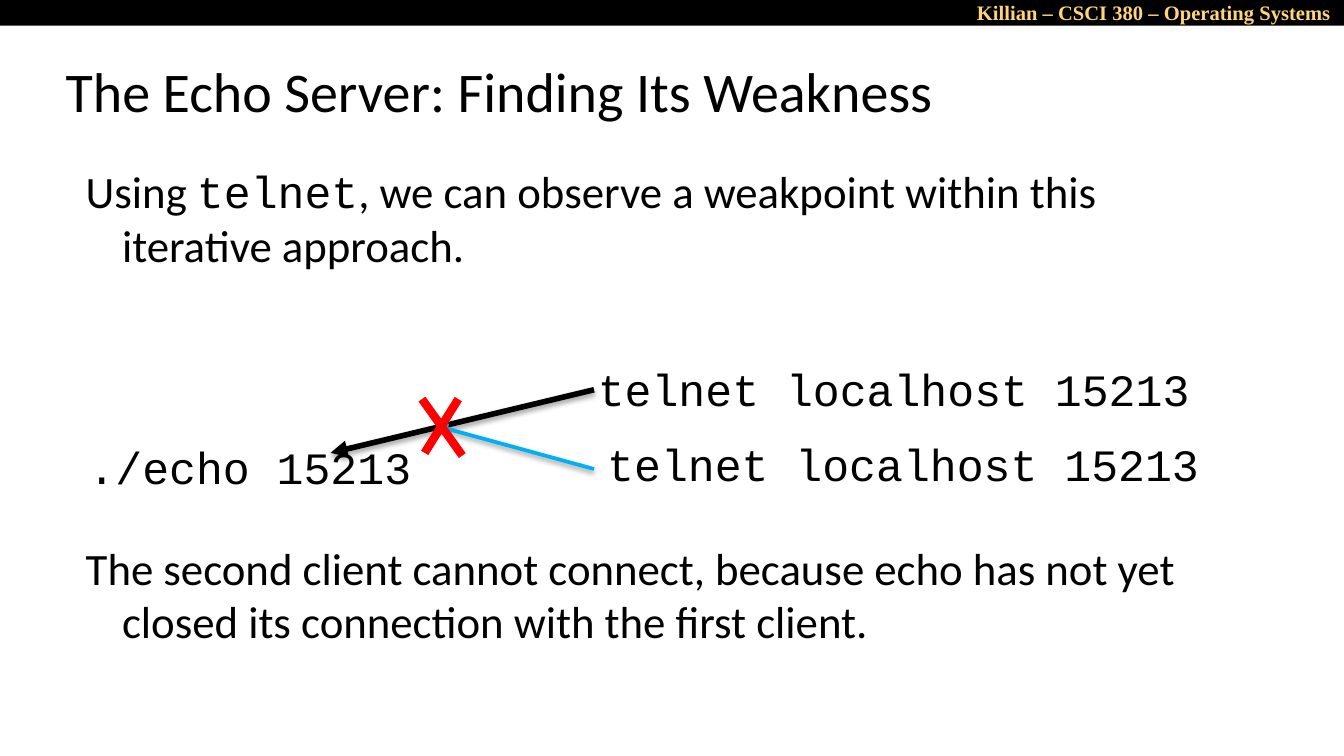
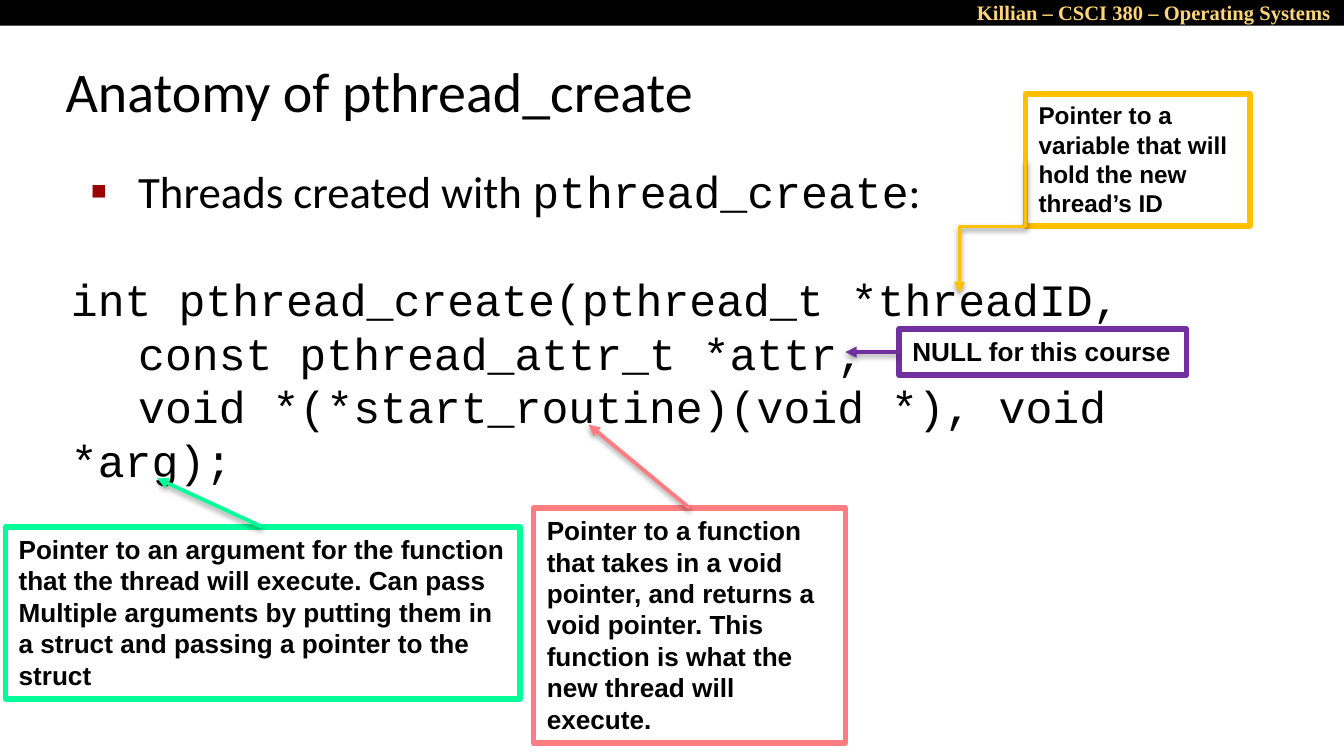
import lxml.etree
import pptx
import pptx.dml.color
import pptx.enum.shapes
import pptx.enum.text
import pptx.oxml
import pptx.oxml.ns
import pptx.util

Inches, Pt = pptx.util.Inches, pptx.util.Pt
SHAPE = pptx.enum.shapes.MSO_SHAPE
CONNECTOR = pptx.enum.shapes.MSO_CONNECTOR
ANCHOR = pptx.enum.text.MSO_ANCHOR
ALIGN = pptx.enum.text.PP_ALIGN
AUTO_SIZE = pptx.enum.text.MSO_AUTO_SIZE

BLACK, GOLD, RED, BLUE = "000000", "FFD579", "FF0000", "00B0F0"
AMBER, PURPLE, CORAL, MINT, MAROON = "FFC000", "7030A0", "FF7C80", "00FF99", "990000"

HEADER = "Killian – CSCI 380 – Operating Systems"
HEADER_FONT = {"name": "Times New Roman", "size": Pt(11), "bold": True}
TITLE_FONT = {"name": "Calibri", "size": Pt(30)}
BODY_FONT = {"name": "Calibri", "size": Pt(24)}
CODE_FONT = {"name": "Courier New", "size": Pt(24)}
TITLE_BOX = (0.39, 0.36, 8.3, 0.62)
BODY_BOX = (0.43, 1.12, 8.64, 4.08)
LINE_PITCH = 28.8
HANGING = (0.38, -0.27)

ECHO_TITLE = "The Echo Server: Finding Its Weakness"
ECHO_BODY = [
    {"runs": [("Using ", BODY_FONT), ("telnet", CODE_FONT),
              (", we can observe a weakpoint within this iterative approach.", BODY_FONT)],
     "indent": HANGING},
    {"runs": [("The second client cannot connect, because echo has not yet "
               "closed its connection with the first client.", BODY_FONT)],
     "indent": HANGING, "lines_before": 5},
]
COMMANDS = [
    ("telnet localhost 15213", (4.35, 2.59, 4.97, 0.84)),
    ("./echo 15213", (0.56, 3.17, 2.69, 0.84)),
    ("telnet localhost 15213", (4.42, 3.15, 4.97, 0.84)),
]
CLIENT_ARROWS = [
    ((4.42, 2.9), (2.46, 3.37), BLACK, 3),
    ((4.42, 3.49), (3.25, 3.17), BLUE, 2),
]
CROSS_STROKES = [((3.14, 2.97), (3.44, 3.39)), ((3.41, 2.97), (3.16, 3.37))]

THREAD_TITLE = "Anatomy of pthread_create"
THREAD_BODY = [
    {"runs": [("Threads created with ", BODY_FONT), ("pthread_create", CODE_FONT),
              (":", BODY_FONT)],
     "indent": (0.5, -0.35), "bullet": True},
    {"runs": [("int pthread_create(pthread_t *threadID,", CODE_FONT)], "lines_before": 1},
    {"runs": [("const pthread_attr_t *attr,", CODE_FONT)], "indent": (0, 0.5)},
    {"runs": [("void *(*start_routine)(void *), void *arg);", CODE_FONT)], "indent": (0, 0.5)},
]
CALLOUTS = [
    {"lines": ["Pointer to a variable that will hold the new thread’s ID"],
     "box": (7.63, 0.7, 1.67, 0.98), "color": AMBER, "size": 13, "wrap": True,
     "arrow": ((7.63, 1.19), (7.14, 2.18)), "bent": True},
    {"lines": ["NULL for this course"],
     "box": (6.69, 2.45, 2.14, 0.34), "color": PURPLE, "size": 14, "wrap": False,
     "arrow": ((6.69, 2.62), (6.29, 2.62))},
    {"lines": ["Pointer to a function that takes in a void pointer, and returns a void "
               "pointer. This function is what the new thread will execute."],
     "box": (3.97, 3.78, 2.32, 1.75), "color": CORAL, "size": 14, "wrap": True,
     "arrow": ((5.13, 3.78), (4.38, 3.16))},
    {"lines": ["Pointer to an argument for the function",
               "that the thread will execute. Can pass",
               "Multiple arguments by putting them in",
               "a struct and passing a pointer to the",
               "struct"],
     "box": (0.04, 3.92, 3.83, 1.28), "color": MINT, "size": 14, "wrap": False,
     "arrow": ((1.95, 3.92), (1.17, 3.56))},
]


def rgb(color):
    return pptx.dml.color.RGBColor.from_string(color)


def add_xml(parent, tag, **attrs):
    el = lxml.etree.SubElement(parent, pptx.oxml.ns.qn(tag))
    for key, value in attrs.items():
        el.set(key, str(value))
    return el


def add_run(p, text, font, color=BLACK):
    r = p.add_run()
    r.text = text
    for key, value in font.items():
        setattr(r.font, key, value)
    r.font.color.rgb = rgb(color)


def set_indent(p, left, first):
    pPr = p._p.get_or_add_pPr()
    pPr.set("marL", str(Inches(left)))
    pPr.set("indent", str(Inches(first)))
    return pPr


def set_frame(tf, **values):
    for key, value in values.items():
        setattr(tf, key, value)


def add_text(s, box, paragraphs, color=BLACK, align=ALIGN.LEFT, inset=0.1,
             anchor=ANCHOR.TOP, pitch=None):
    tf = s.shapes.add_textbox(*map(Inches, box)).text_frame
    set_frame(tf, word_wrap=True, vertical_anchor=anchor,
              margin_top=Inches(inset), margin_bottom=Inches(inset))
    for i, para in enumerate(paragraphs):
        p = tf.add_paragraph() if i else tf.paragraphs[0]
        p.alignment = align
        if pitch:
            p.line_spacing = Pt(pitch)
            p.space_before = Pt(pitch * para.get("lines_before", 0))
        pPr = set_indent(p, *para.get("indent", (0, 0)))
        if para.get("bullet"):
            add_xml(add_xml(pPr, "a:buClr"), "a:srgbClr", val=MAROON)
            add_xml(pPr, "a:buSzPct", val=58000)
            add_xml(pPr, "a:buFont", typeface="Arial")
            add_xml(pPr, "a:buChar", char="■")
        for text, font in para["runs"]:
            add_run(p, text, font, color)


def add_line(s, start, end, color, width, arrow=True, bent=False):
    (x1, y1), (x2, y2) = start, end
    if bent:
        cx, cy = (x1 + x2) / 2, (y1 + y2) / 2
        w, h = abs(y2 - y1) / 2, abs(x2 - x1) / 2
        x1, y1, x2, y2 = cx - w, cy - h, cx + w, cy + h
    kind = CONNECTOR.ELBOW if bent else CONNECTOR.STRAIGHT
    c = s.shapes.add_connector(kind, *map(Inches, (x1, y1, x2, y2)))
    c.line.color.rgb = rgb(color)
    c.line.width = Pt(width)
    spPr = c._element.spPr
    if bent:
        spPr.find(pptx.oxml.ns.qn("a:xfrm")).set("rot", str(90 * 60000))
    effects = add_xml(spPr, "a:effectLst")
    if arrow:
        add_xml(c.line._get_or_add_ln(), "a:tailEnd", type="triangle")
        shadow = add_xml(effects, "a:outerShdw", blurRad=Pt(3.1), dist=Pt(1.6),
                         dir=90 * 60000, rotWithShape=0)
        add_xml(add_xml(shadow, "a:srgbClr", val=BLACK), "a:alpha", val=38000)


def add_callout(s, callout):
    sp = s.shapes.add_shape(SHAPE.RECTANGLE, *map(Inches, callout["box"]))
    sp.shadow.inherit = False
    sp.fill.background()
    sp.line.color.rgb = rgb(callout["color"])
    sp.line.width = Pt(3)
    tf = sp.text_frame
    set_frame(tf, word_wrap=callout["wrap"], vertical_anchor=ANCHOR.TOP,
              auto_size=AUTO_SIZE.SHAPE_TO_FIT_TEXT)
    font = {"name": "Arial", "size": Pt(callout["size"]), "bold": True}
    for i, text in enumerate(callout["lines"]):
        p = tf.add_paragraph() if i else tf.paragraphs[0]
        p.alignment = ALIGN.LEFT
        add_run(p, text, font)
    add_line(s, *callout["arrow"], callout["color"], 2, bent=callout.get("bent", False))


def add_slide(prs, title, body):
    s = prs.slides.add_slide(prs.slide_layouts[6])
    band = s.shapes.add_shape(SHAPE.RECTANGLE, 0, 0, prs.slide_width, Inches(0.19))
    band.shadow.inherit = False
    band.fill.solid()
    band.fill.fore_color.rgb = rgb(BLACK)
    band.line.fill.background()
    add_text(s, (6.93, -0.05, 3.07, 0.21), [{"runs": [(HEADER, HEADER_FONT)]}],
             GOLD, ALIGN.RIGHT, inset=0.05)
    add_text(s, TITLE_BOX, [{"runs": [(title, TITLE_FONT)], "indent": (0.13, -0.13)}],
             anchor=ANCHOR.MIDDLE)
    add_text(s, BODY_BOX, body, pitch=LINE_PITCH)
    return s


def main():
    prs = pptx.Presentation()
    prs.slide_width = Inches(10)
    prs.slide_height = prs.slide_width * 9 // 16

    s = add_slide(prs, ECHO_TITLE, ECHO_BODY)
    for text, box in COMMANDS:
        add_text(s, box, [{"runs": [(text, CODE_FONT)]}], pitch=LINE_PITCH)
    for start, end, color, width in CLIENT_ARROWS:
        add_line(s, start, end, color, width)
    for start, end in CROSS_STROKES:
        add_line(s, start, end, RED, 4.5, arrow=False)

    s = add_slide(prs, THREAD_TITLE, THREAD_BODY)
    for callout in CALLOUTS:
        add_callout(s, callout)

    prs.save("out.pptx")


if __name__ == "__main__":
    main()
